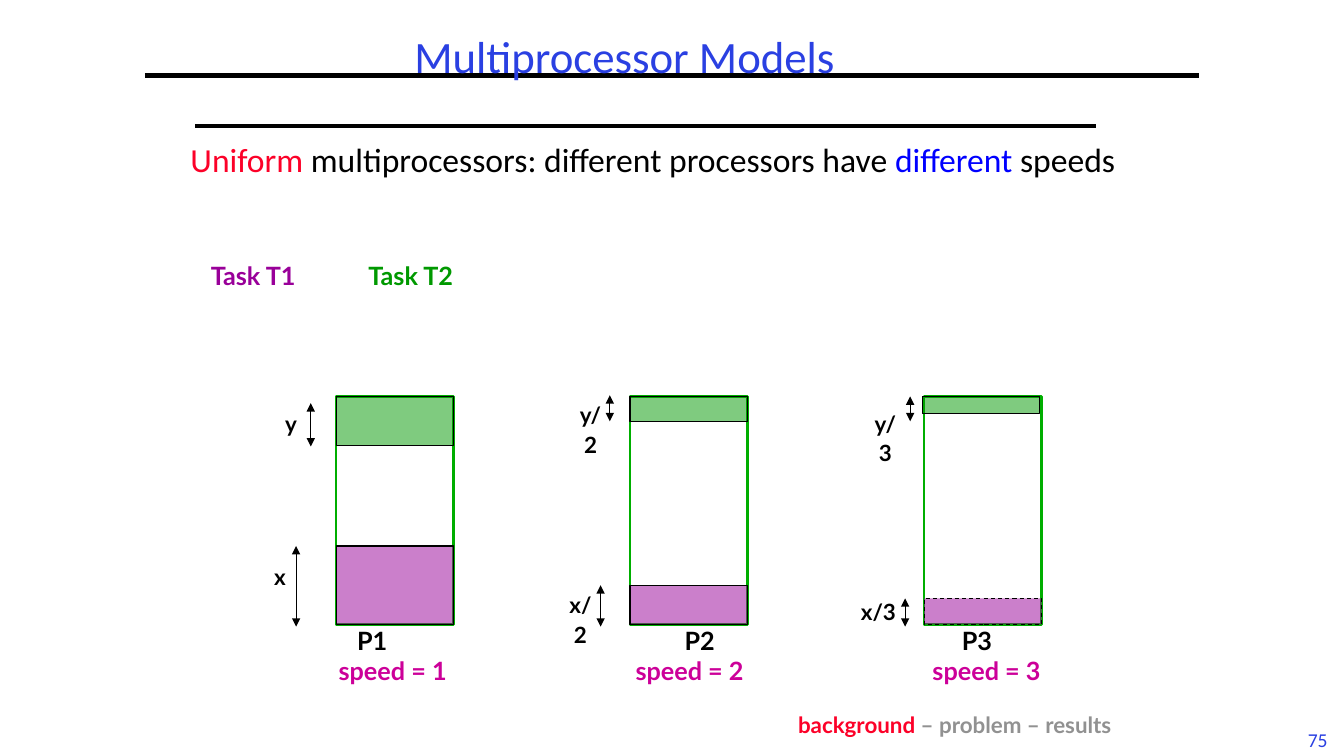
from lxml import etree
from pptx import Presentation
from pptx import util as u
from pptx.dml.color import RGBColor
from pptx.enum import dml, shapes, text
from pptx.oxml.ns import qn

COLORS = {
    "blue": "2A40E2", "pure_blue": "0000FF", "red": "FC0128", "black": "000000",
    "frame": "00AE00", "green": "009900", "purple": "990099",
    "magenta": "CC0099", "grey": "919191",
}
COLUMNS, ROWS = 160, 90  # grid cells of 1/12 inch


class SlideBuilder:
    """Holds the style and the slide; all positions are grid columns and rows."""

    def __init__(self, presentation):
        self.cell_width = presentation.slide_width / COLUMNS
        self.cell_height = presentation.slide_height / ROWS
        self.slide = presentation.slides.add_slide(presentation.slide_layouts[5])
        self.shapes = self.slide.shapes

    def place(self, left, top, width, height):
        return (round(left * self.cell_width), round(top * self.cell_height),
                round(width * self.cell_width), round(height * self.cell_height))

    def color(self, name):
        return RGBColor.from_string(COLORS[name])

    def fill_text(self, shape, parts, size, font, bold, align="CENTER",
                  anchor="TOP", spacing=1.0, wrap=False):
        frame = shape.text_frame
        frame.word_wrap = wrap
        frame.auto_size = text.MSO_AUTO_SIZE.NONE
        frame.vertical_anchor = getattr(text.MSO_ANCHOR, anchor)
        paragraph = frame.paragraphs[0]
        paragraph.alignment = getattr(text.PP_ALIGN, align)
        paragraph.line_spacing = spacing
        for words, color in parts:
            run = paragraph.add_run()
            run.text = words
            run.font.name, run.font.size, run.font.bold = font, u.Pt(size), bold
            run.font.color.rgb = self.color(color)

    def title(self, words, *box):
        title = self.shapes.title
        title.left, title.top, title.width, title.height = self.place(*box)
        self.fill_text(title, [(words, "blue")], 32, "Calibri", False,
                       anchor="MIDDLE", spacing=0.9, wrap=True)
        self.shapes.element.append(title.element)  # bring above the rule

    def text(self, parts, box, size, font="Lato", bold=True, **layout):
        self.fill_text(self.shapes.add_textbox(*self.place(*box)), parts,
                       size, font, bold, **layout)

    def label(self, words, box, size=18, color="black", wrap=False):
        self.text([(words, color)], box, size, spacing=1.1, wrap=wrap)

    def line(self, x1, y1, x2, y2, weight, arrows=False):
        connector = self.shapes.add_connector(
            shapes.MSO_CONNECTOR.STRAIGHT, *self.place(x1, y1, x2, y2))
        connector.line.width = u.Pt(weight)
        connector.line.color.rgb = self.color("black")
        properties = connector.element.spPr
        if arrows:
            outline = properties.find(qn("a:ln"))
            for tag in ("a:headEnd", "a:tailEnd"):
                etree.SubElement(outline, qn(tag), type="triangle")
        etree.SubElement(properties, qn("a:effectLst"))

    def box(self, left, top, width, height, line, weight, fill=None, dashed=False):
        shape = self.shapes.add_shape(shapes.MSO_SHAPE.RECTANGLE,
                                      *self.place(left, top, width, height))
        shape.shadow.inherit = False
        shape.line.color.rgb = self.color(line)
        shape.line.width = u.Pt(weight)
        if dashed:
            shape.line.dash_style = dml.MSO_LINE.DASH
        if fill is None:
            shape.fill.background()
            return
        shape.fill.solid()
        shape.fill.fore_color.rgb = self.color(fill)
        tint = shape.element.spPr.find(qn("a:solidFill"))[0]
        etree.SubElement(tint, qn("a:alpha"), val="50000")


def main():
    presentation = Presentation()
    presentation.slide_width, presentation.slide_height = u.Inches(13.33), u.Inches(7.5)
    page = SlideBuilder(presentation)

    # Heading
    page.line(17.25, 9, 142.75, 9, 3)
    page.title("Multiprocessor Models", 23, 2, 102.75, 10)
    page.line(23.25, 15, 130.5, 15, 2.25)
    page.text([("Uniform", "red"),
               (" multiprocessors: different processors have ", "black"),
               ("different", "pure_blue"), (" speeds", "black")],
              (21.5, 14.75, 118.5, 14), 24, "Calibri", False,
              align="LEFT", spacing=1.25, wrap=True)

    # Task legend
    page.label("Task T1", (23.5, 30.1, 13.3, 4.8), color="purple")
    page.label("Task T2", (42.25, 30.1, 13.3, 4.8), color="green")

    # Processors: a bar each, with task times divided by the speed
    bar_top, bar_width, bar_height = 47.25, 14, 27.1
    bar_bottom = bar_top + bar_height
    x_time, y_time = 9.35, 5.8
    # name column, x arrow column, x label box, y bar shift, y arrow, y label box
    processors = [
        (41.25, 35.25, (31.45, 66.1, 3.7, 4.45), 0, (37, 48, 53.15), (32.75, 47.9, 3.7, 4.45)),
        (80.25, 71.5, (66.1, 69.5, 6, 4.45), 0, (72.6, 47.05, 50.15), (67.3, 46.9, 6, 4.45)),
        (113.25, 107.75, (99.35, 70.3, 10.45, 4.45), -0.2, (108.35, 47.2, 50.15),
         (102.4, 47.9, 6, 4.45)),
    ]
    for speed, (name_left, x_arrow, x_box, y_shift, y_arrow, y_box) in enumerate(processors, 1):
        left = 40 + 35 * (speed - 1)
        divisor = f"/{speed}" if speed > 1 else ""
        x_top = bar_bottom - x_time / speed
        page.box(left, bar_top, bar_width, bar_height, "frame", 2)
        page.box(left, x_top, bar_width, x_time / speed, "black", 0.75,
                 "purple", dashed=speed == 3)
        page.box(left + y_shift, bar_top, bar_width, y_time / speed, "black", 0.75, "green")
        page.line(x_arrow, x_top, x_arrow, 74.6, 0.75, arrows=True)
        column, arrow_top, arrow_bottom = y_arrow
        page.line(column, arrow_top, column, arrow_bottom, 0.75, arrows=True)
        page.label("x" + divisor, x_box, 16, wrap=True)
        page.label("y" + divisor, y_box, 16, wrap=True)
        page.label(f"P{speed}", (name_left, 73.55, 6.1, 4.8))
        page.label(f"speed = {speed}", (38.9 + 35.35 * (speed - 1), 77.05, 15.7, 4.8),
                   color="magenta")

    # Footer
    page.text([("background", "red"), (" – problem – results", "grey")],
              (72.75, 84.1, 60.75, 4.3), 16, align="RIGHT", anchor="BOTTOM", wrap=True)
    page.text([("75", "blue")], (154.3, 86.05, 5.15, 4), 14, "Calibri", False)

    presentation.save("out.pptx")


if __name__ == "__main__":
    main()
